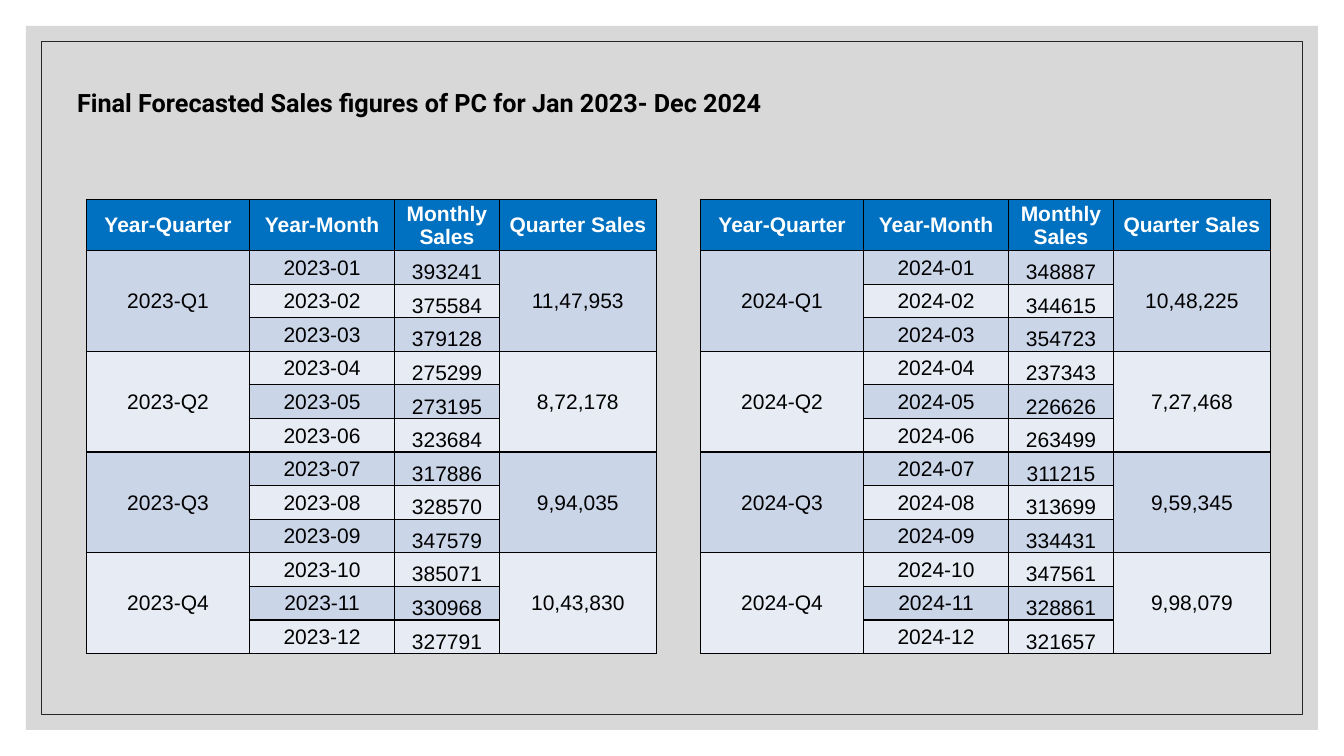
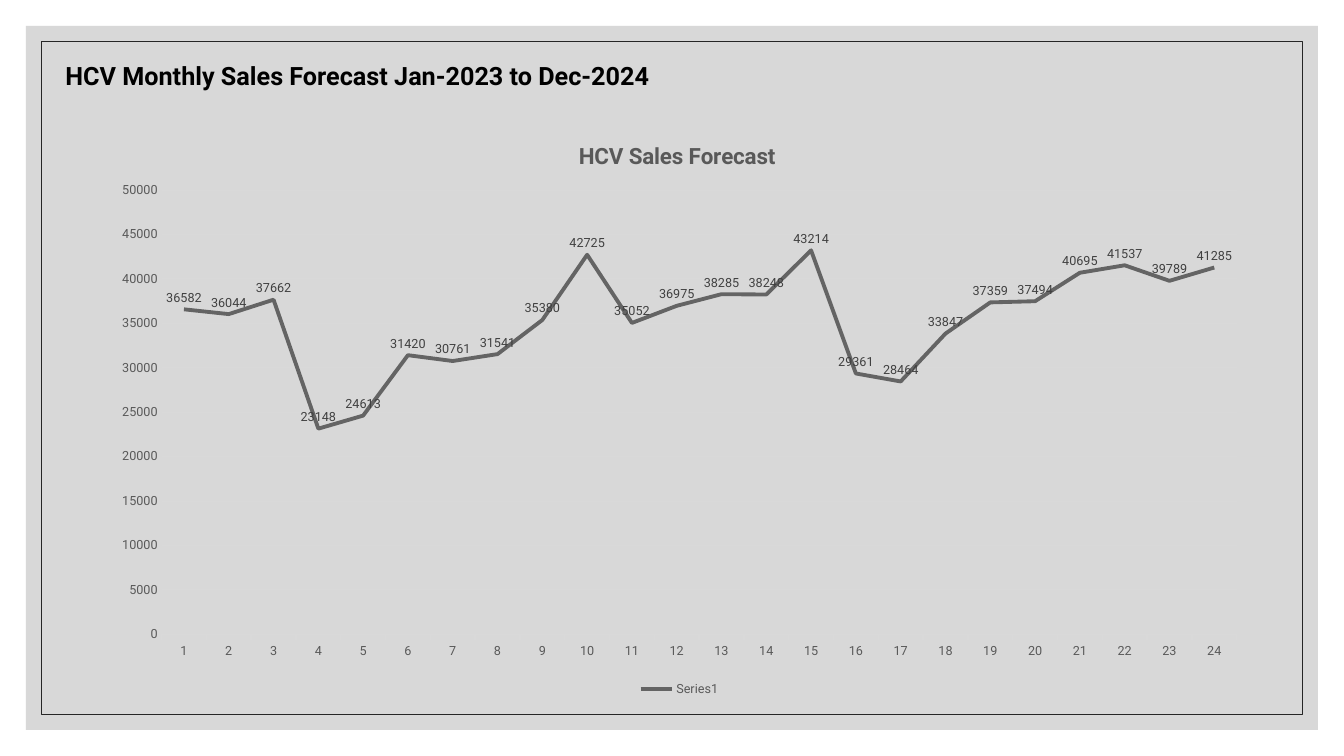
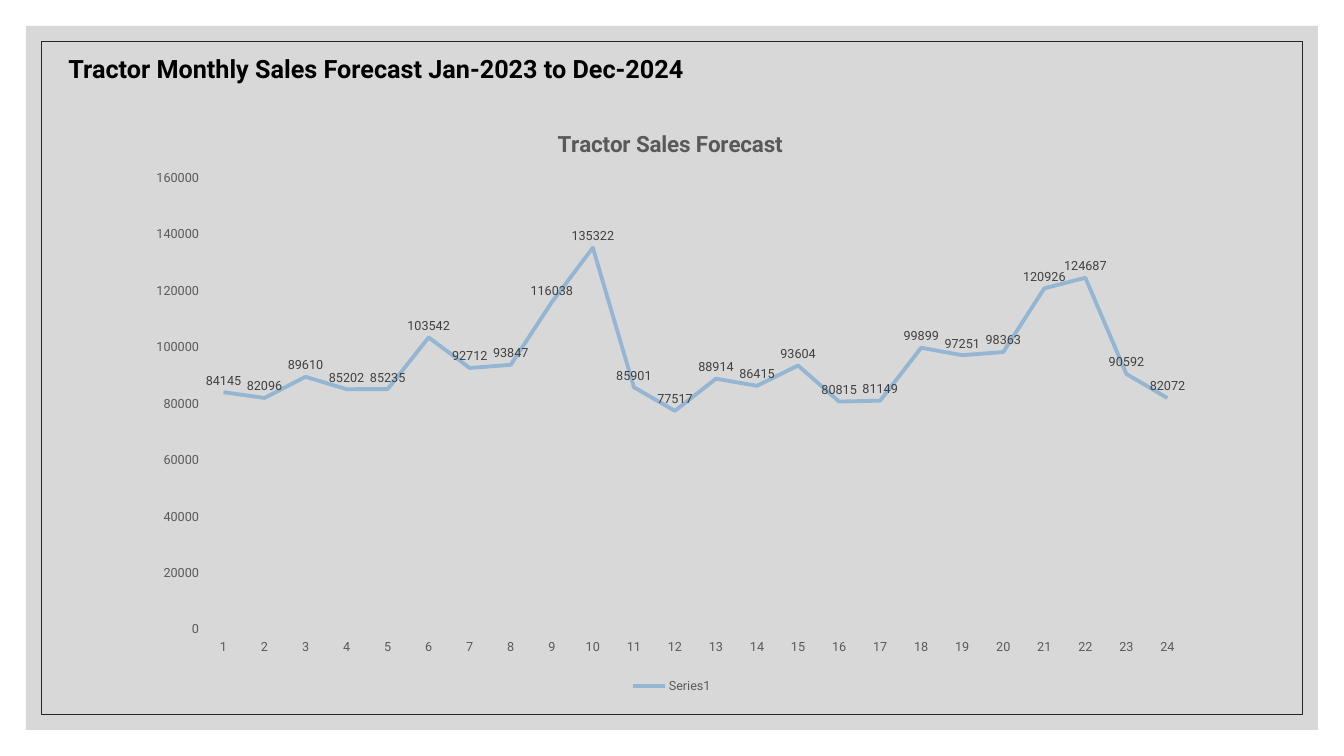
"""Build the sales forecast slides: one pair of tables and two line charts."""
from lxml import etree
from pptx import Presentation
from pptx.chart.data import CategoryChartData
from pptx.dml.color import RGBColor
from pptx.enum import chart as charts, shapes, text
from pptx.oxml import parse_xml
from pptx.oxml.ns import nsdecls, qn
from pptx.util import Pt


class Theme:
    black = RGBColor.from_string("000000")
    white = RGBColor.from_string("FFFFFF")
    panel = RGBColor.from_string("BFBFBF")
    frame = RGBColor.from_string("262626")
    header = RGBColor.from_string("0070C0")
    bands = RGBColor.from_string("E7EBF4"), RGBColor.from_string("CBD5E8")
    muted = RGBColor.from_string("595959")
    label = RGBColor.from_string("404040")
    grid = RGBColor.from_string("D9D9D9")
    font, table_font = "Roboto", "Arial"
    title_size, chart_title_size, cell_size = Pt(18), Pt(16), Pt(15)
    chart_size, axis_size = Pt(10), Pt(9)


HEADINGS = ["Year-Quarter", "Year-Month", "Monthly Sales", "Quarter Sales"]
COLUMN_WIDTHS = [116.5, 103.5, 75, 112]
HEADER_HEIGHT, ROW_HEIGHT = 34.3, 24
TABLE_TOP = 142.3

TABLES_TITLE = ("Final Forecasted Sales figures of PC for Jan 2023- Dec 2024", 48, 58.5, 550)
YEARS = [
    (2023, 61.8,
     [393241, 375584, 379128, 275299, 273195, 323684,
      317886, 328570, 347579, 385071, 330968, 327791],
     ["11,47,953", "8,72,178", "9,94,035", "10,43,830"]),
    (2024, 500.4,
     [348887, 344615, 354723, 237343, 226626, 263499,
      311215, 313699, 334431, 347561, 328861, 321657],
     ["10,48,225", "7,27,468", "9,59,345", "9,98,079"]),
]

FORECASTS = [
    dict(title=("HCV Monthly Sales Forecast Jan-2023 to Dec-2024", 39.6, 39.6, 480),
         heading="HCV Sales Forecast", heading_left=0.41, box=(70.6, 82.8, 829.4, 417.6),
         plot=(0.054, 0.127, 0.926, 0.76), color="646464", top=50000, step=5000,
         sales=[36582, 36044, 37662, 23148, 24613, 31420, 30761, 31541,
                35380, 42725, 35052, 36975, 38285, 38248, 43214, 29361,
                28464, 33847, 37359, 37494, 40695, 41537, 39789, 41285]),
    dict(title=("Tractor Monthly Sales Forecast Jan-2023 to Dec-2024", 41.8, 34.6, 480),
         heading="Tractor Sales Forecast", heading_left=0.39, box=(95.8, 74.2, 768.2, 424),
         plot=(0.064, 0.125, 0.916, 0.761), color="94B6D2", top=160000, step=20000,
         sales=[84145, 82096, 89610, 85202, 85235, 103542, 92712, 93847,
                116038, 135322, 85901, 77517, 88914, 86415, 93604, 80815,
                81149, 99899, 97251, 98363, 120926, 124687, 90592, 82072]),
]


def style(font, size, color, name=Theme.font, bold=False):
    font.size, font.name, font.bold = size, name, bold
    font.color.rgb = color


def add_rectangle(slide, inset):
    rectangle = slide.shapes.add_shape(
        shapes.MSO_SHAPE.RECTANGLE, Pt(inset), Pt(inset),
        Pt(960 - 2 * inset), Pt(540 - 2 * inset))
    rectangle.shadow.inherit = False
    return rectangle


def add_framed_slide(deck, title):
    slide = deck.slides.add_slide(deck.slide_layouts[6])
    panel = add_rectangle(slide, 18.6)
    panel.fill.solid()
    panel.fill.fore_color.rgb = Theme.panel
    panel.line.fill.background()
    color = panel.fill._xPr.find(qn("a:solidFill"))[0]
    etree.SubElement(color, qn("a:alpha"), val="60000")
    frame = add_rectangle(slide, 29.4)
    frame.fill.background()
    frame.line.color.rgb = Theme.frame
    frame.line.width = Pt(0.5)

    wording, left, top, width = title
    heading = slide.shapes.add_textbox(Pt(left), Pt(top), Pt(width), Pt(29)).text_frame
    heading.word_wrap = True
    heading.auto_size = text.MSO_AUTO_SIZE.SHAPE_TO_FIT_TEXT
    run = heading.paragraphs[0].add_run()
    run.text = wording
    style(run.font, Theme.title_size, Theme.black, bold=True)
    return slide


def format_cell(cell, fill):
    cell.margin_left = cell.margin_right = cell.margin_top = Pt(0.7)
    cell.margin_bottom = 0
    properties = cell._tc.get_or_add_tcPr()
    for side in ("lnL", "lnR", "lnT", "lnB"):
        properties.append(parse_xml(
            f'<a:{side} {nsdecls("a")} w="12700"><a:solidFill>'
            f'<a:srgbClr val="{Theme.black}"/></a:solidFill></a:{side}>'))
    cell.fill.solid()
    cell.fill.fore_color.rgb = fill


def write_cell(cell, wording, color=Theme.black, bold=False, anchor=text.MSO_ANCHOR.MIDDLE):
    cell.vertical_anchor = anchor
    paragraph = cell.text_frame.paragraphs[0]
    paragraph.alignment = text.PP_ALIGN.CENTER
    run = paragraph.add_run()
    run.text = wording
    style(run.font, Theme.cell_size, color, Theme.table_font, bold)


def add_year_table(slide, year, left, months, quarters):
    row_count = len(months) + 1
    table = slide.shapes.add_table(
        row_count, len(HEADINGS), Pt(left), Pt(TABLE_TOP), Pt(sum(COLUMN_WIDTHS)),
        Pt(HEADER_HEIGHT + ROW_HEIGHT * len(months))).table
    table.horz_banding = False
    for column, width in zip(table.columns, COLUMN_WIDTHS):
        column.width = Pt(width)
    for index, row in enumerate(table.rows):
        row.height = Pt(ROW_HEIGHT if index else HEADER_HEIGHT)
        for cell in row.cells:
            format_cell(cell, Theme.bands[index % 2] if index else Theme.header)
    for column, wording in enumerate(HEADINGS):
        write_cell(table.cell(0, column), wording, Theme.white, True)
    for month, sales in enumerate(months, 1):
        write_cell(table.cell(month, 1), f"{year}-{month:02}")
        write_cell(table.cell(month, 2), str(sales), anchor=text.MSO_ANCHOR.BOTTOM)
    for quarter, total in enumerate(quarters):
        first = 1 + 3 * quarter
        for column, wording in ((0, f"{year}-Q{quarter + 1}"), (3, total)):
            table.cell(first, column).merge(table.cell(first + 2, column))
            write_cell(table.cell(first, column), wording)


def place(element, inner=False, **fractions):
    """Give a chart part a manual layout."""
    for old in element.findall(qn("c:layout")):
        element.remove(old)
    target = '<c:layoutTarget val="inner"/>' if inner else ""
    modes = "".join(f'<c:{key}Mode val="edge"/>' for key in ("x", "y"))
    sizes = "".join(f'<c:{key} val="{value}"/>' for key, value in fractions.items())
    layout = parse_xml(f'<c:layout {nsdecls("c")}><c:manualLayout>{target}{modes}{sizes}'
                       "</c:manualLayout></c:layout>")
    text_part = element.find(qn("c:tx"))
    element.insert(0 if text_part is None else 1, layout)


def add_forecast_chart(slide, forecast):
    data = CategoryChartData(number_format="0")
    data.categories = [str(month) for month in range(1, len(forecast["sales"]) + 1)]
    data.add_series("Series1", forecast["sales"])
    chart = slide.shapes.add_chart(
        charts.XL_CHART_TYPE.LINE, *map(Pt, forecast["box"]), data).chart
    style(chart.font, Theme.chart_size, Theme.black)

    chart.has_title = True
    run = chart.chart_title.text_frame.paragraphs[0].add_run()
    run.text = forecast["heading"]
    style(run.font, Theme.chart_title_size, Theme.muted, bold=True)
    chart.chart_title.include_in_layout = False
    place(chart.chart_title._element, x=forecast["heading_left"], y=0.037)
    place(chart._chartSpace.chart.plotArea, True, **dict(zip("xywh", forecast["plot"])))

    chart.has_legend = True
    chart.legend.position = charts.XL_LEGEND_POSITION.BOTTOM
    chart.legend.include_in_layout = False
    months, amounts = chart.category_axis, chart.value_axis
    for part in (chart.legend.font, months.tick_labels.font, amounts.tick_labels.font):
        style(part, Theme.axis_size, Theme.muted)
    months.format.line.color.rgb = Theme.grid
    months.format.line.width = Pt(1)
    months.major_tick_mark = charts.XL_TICK_MARK.OUTSIDE
    amounts.major_tick_mark = charts.XL_TICK_MARK.NONE
    amounts.format.line.fill.background()
    amounts.minimum_scale, amounts.maximum_scale = 0, forecast["top"]
    amounts.major_unit = forecast["step"]
    amounts.tick_labels.number_format = "0"
    amounts.tick_labels.number_format_is_linked = False
    amounts.major_gridlines.format.line.color.rgb = Theme.grid
    amounts.major_gridlines.format.line.width = Pt(0.75)

    plot = chart.plots[0]
    plot.vary_by_categories = False
    sales = plot.series[0]
    sales.smooth = False
    sales.marker.style = charts.XL_MARKER_STYLE.NONE
    sales.format.line.color.rgb = RGBColor.from_string(forecast["color"])
    sales.format.line.width = Pt(2.75)
    labels = sales.data_labels
    labels.show_value = True
    labels.position = charts.XL_LABEL_POSITION.ABOVE
    labels.number_format = "0"
    labels.number_format_is_linked = False
    style(labels.font, Theme.axis_size, Theme.label)


def main():
    deck = Presentation()
    deck.slide_width, deck.slide_height = Pt(960), Pt(540)
    tables_slide = add_framed_slide(deck, TABLES_TITLE)
    for year in YEARS:
        add_year_table(tables_slide, *year)
    for forecast in FORECASTS:
        add_forecast_chart(add_framed_slide(deck, forecast["title"]), forecast)
    deck.save("out.pptx")


if __name__ == "__main__":
    main()
